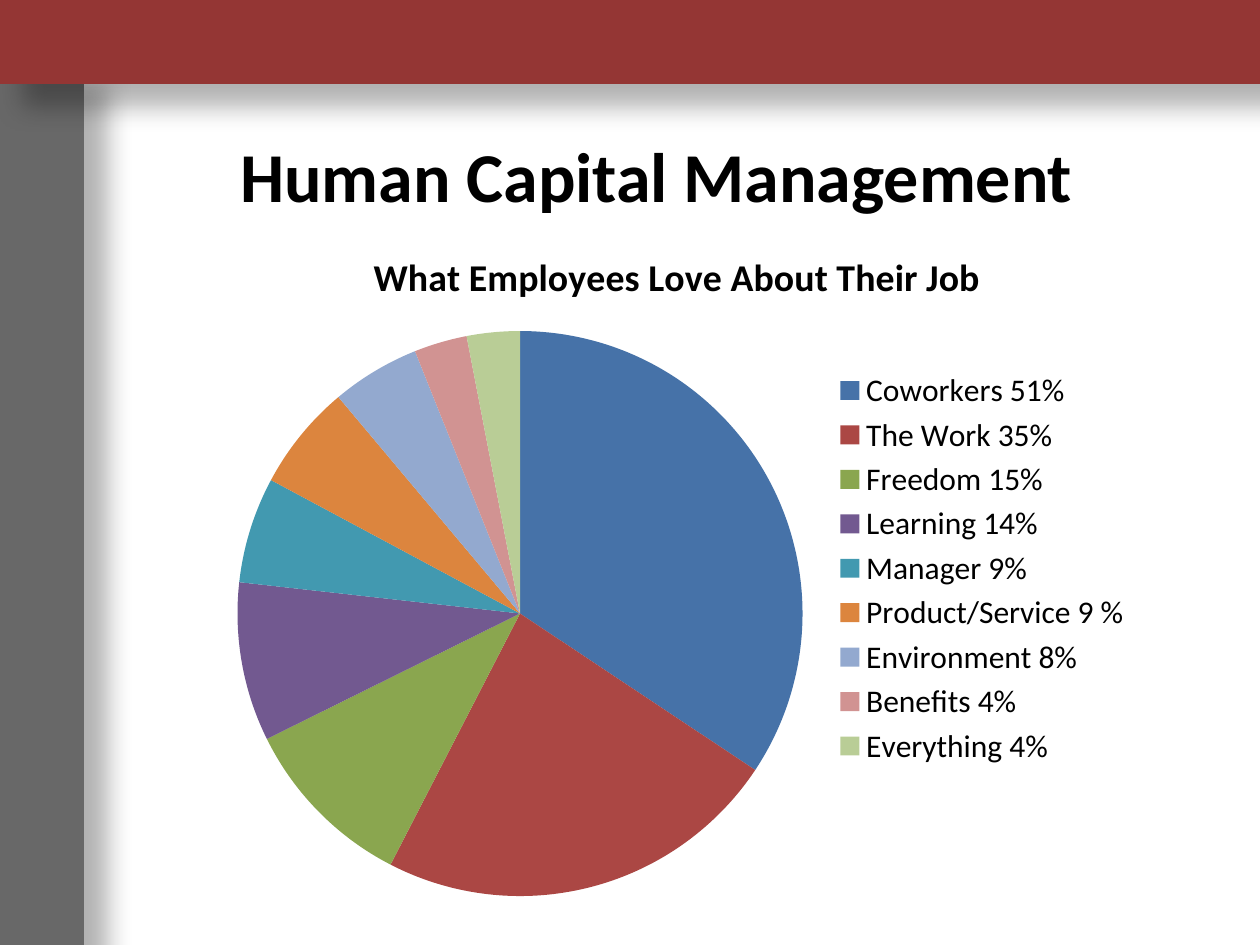
import pptx
import pptx.chart.data
import pptx.dml.color
import pptx.enum.chart
import pptx.enum.shapes
import pptx.enum.text
import pptx.oxml
import pptx.oxml.ns
import pptx.util

Pt = pptx.util.Pt

# Content
TITLE = "Human Capital Management"
CHART_TITLE = "What Employees Love About Their Job"
REASONS = [  # legend label, share of the pie, slice colour
    ("Coworkers 51%", 34, "4672A8"),
    ("The Work 35%", 23, "AB4744"),
    ("Freedom 15%", 10, "8AA64F"),
    ("Learning 14%", 9, "725990"),
    ("Manager 9%", 6, "4299B0"),
    ("Product/Service 9 %", 6, "DC853E"),
    ("Environment 8%", 5, "93A9CF"),
    ("Benefits 4%", 3, "D19392"),
    ("Everything 4%", 3, "B9CD96"),
]

THEME = {
    "font": "Calibri", "text": "000000", "side": "686868", "top": "943634",
    "title_size": 40, "chart_title_size": 21.6, "legend_size": 18,
}
PAGE_WIDTH, PAGE_HEIGHT = 720, 540
BAR = 48
BARS = [  # left, top, width, height, colour
    (0, 36, BAR, PAGE_HEIGHT - 36, THEME["side"]),
    (0, 0, PAGE_WIDTH, BAR, THEME["top"]),
]
TITLE_AREA = (72, 72, 606, 55.7)
CHART_AREA = (120, 127.5, 534, 394.5)
SHADOW = (
    '<a:effectLst %s><a:outerShdw blurRad="%d" dist="%d" dir="2700000" '
    'algn="ctr" rotWithShape="0"><a:srgbClr val="000000">'
    '<a:alpha val="30000"/></a:srgbClr></a:outerShdw></a:effectLst>'
    % (pptx.oxml.ns.nsdecls("a"), Pt(15), Pt(18))
)


def color(value):
    return pptx.dml.color.RGBColor.from_string(value)


def style_font(font, size, bold=False):
    font.name = THEME["font"]
    font.size = Pt(size)
    font.bold = bold
    font.color.rgb = color(THEME["text"])


def write(frame, text, size, bold=False, align=pptx.enum.text.PP_ALIGN.CENTER):
    para = frame.paragraphs[0]
    para.alignment = align
    span = para.add_run()
    span.text = text
    style_font(span.font, size, bold)


def add_bar(page, left, top, width, height, fill):
    bar = page.shapes.add_shape(
        pptx.enum.shapes.MSO_SHAPE.RECTANGLE,
        Pt(left), Pt(top), Pt(width), Pt(height))
    bar.fill.solid()
    bar.fill.fore_color.rgb = color(fill)
    bar.line.fill.background()
    bar._element.spPr.append(pptx.oxml.parse_xml(SHADOW))


def add_title(page):
    title = page.shapes.title
    title.left, title.top, title.width, title.height = map(Pt, TITLE_AREA)
    frame = title.text_frame
    frame.word_wrap = True
    frame.auto_size = pptx.enum.text.MSO_AUTO_SIZE.SHAPE_TO_FIT_TEXT
    write(frame, TITLE, THEME["title_size"], bold=True)


def add_pie(page):
    data = pptx.chart.data.CategoryChartData()
    data.categories = [label for label, _, _ in REASONS]
    data.add_series(CHART_TITLE, [share for _, share, _ in REASONS])
    chart = page.shapes.add_chart(
        pptx.enum.chart.XL_CHART_TYPE.PIE, *map(Pt, CHART_AREA), data).chart
    style_font(chart.font, THEME["legend_size"])

    chart.has_title = True
    write(chart.chart_title.text_frame, CHART_TITLE,
          THEME["chart_title_size"], bold=True)
    chart.chart_title.include_in_layout = False

    chart.has_legend = True
    chart.legend.position = pptx.enum.chart.XL_LEGEND_POSITION.RIGHT
    chart.legend.include_in_layout = False
    style_font(chart.legend.font, THEME["legend_size"])

    plot = chart.plots[0]
    plot.vary_by_categories = True
    for index, (_, _, fill) in enumerate(REASONS):
        slice_fill = plot.series[0].points[index].format.fill
        slice_fill.solid()
        slice_fill.fore_color.rgb = color(fill)


def main():
    deck = pptx.Presentation()
    deck.slide_width, deck.slide_height = Pt(PAGE_WIDTH), Pt(PAGE_HEIGHT)
    page = deck.slides.add_slide(deck.slide_layouts.get_by_name("Title Only"))

    # Frame bars, the top one over the side one
    for bar in BARS:
        add_bar(page, *bar)

    # Heading and chart
    add_title(page)
    add_pie(page)
    deck.save("out.pptx")


if __name__ == "__main__":
    main()
